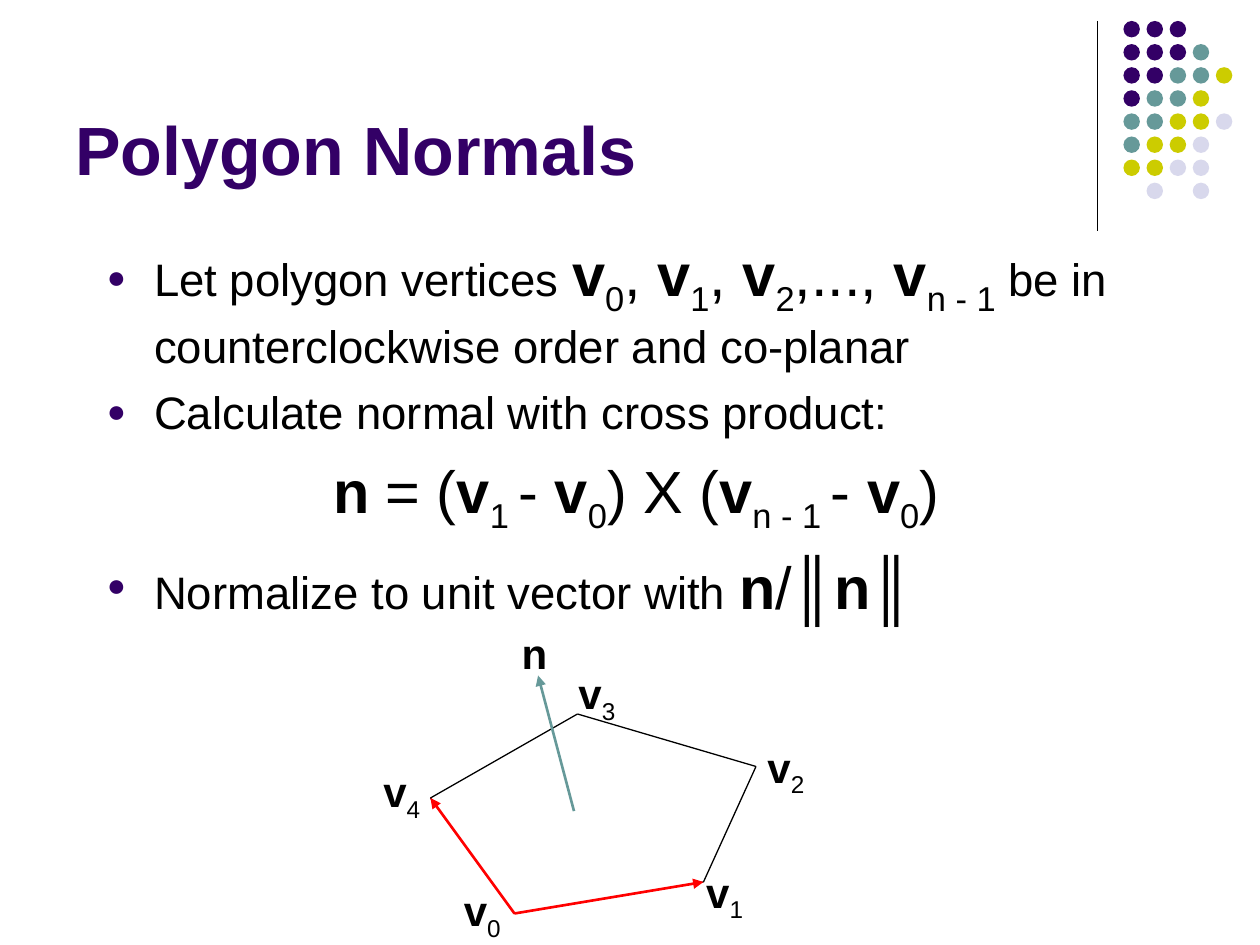
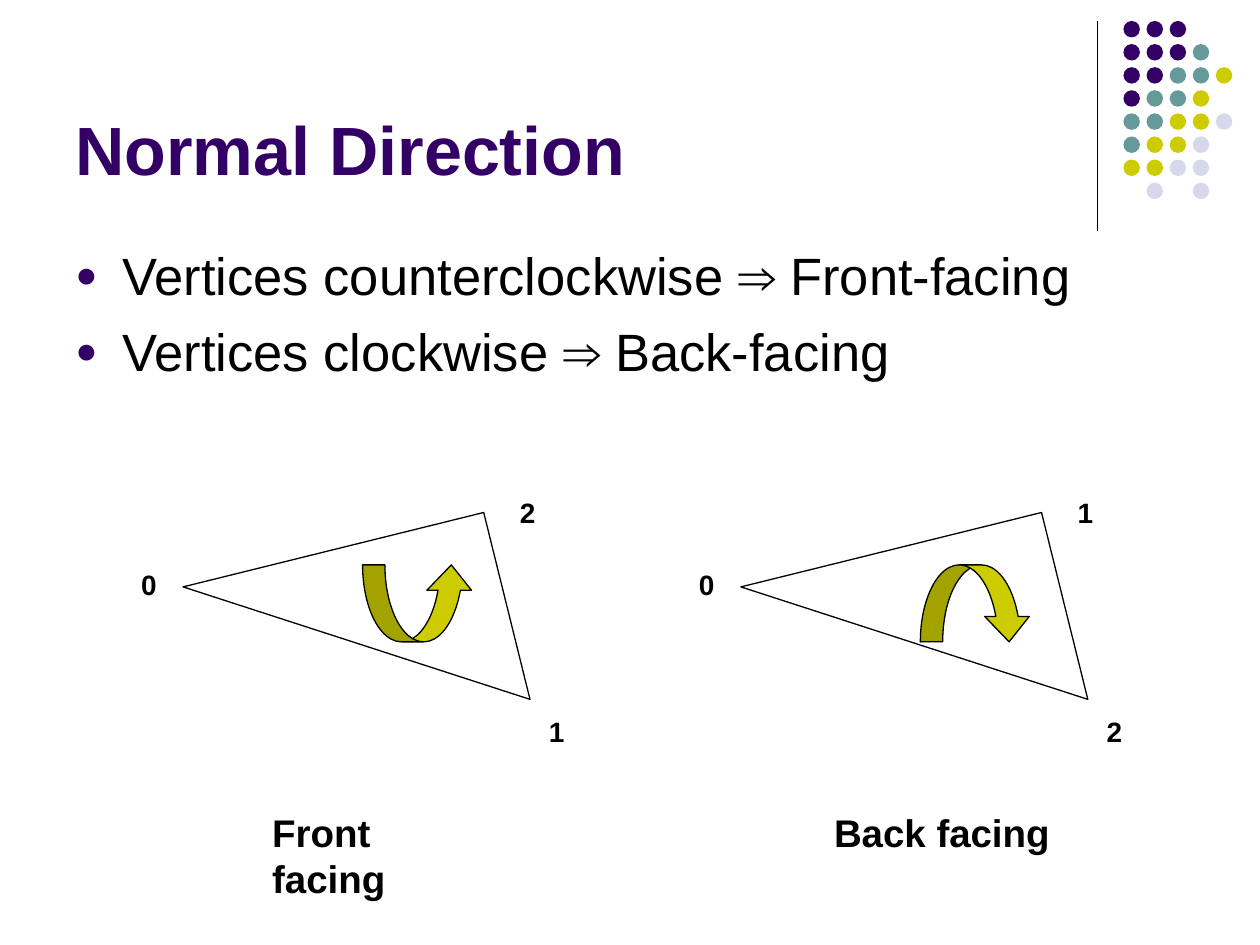
from dataclasses import dataclass
from itertools import pairwise
from typing import NamedTuple

from lxml import etree
from pptx import Presentation
from pptx.dml.color import RGBColor
from pptx.enum import shapes, text
from pptx.oxml.ns import qn
from pptx.util import Pt

INK = RGBColor(0, 0, 0)
PURPLE = RGBColor(0x33, 0x00, 0x66)
TEAL = RGBColor(0x66, 0x99, 0x99)
LIME = RGBColor(0xCC, 0xCC, 0x00)
MIST = RGBColor(0xD8, 0xD8, 0xEC)
RED = RGBColor(0xFF, 0x00, 0x00)

FACE = "Arial"
DOTS = ["PPP", "PPPT", "PPTTY", "PTTY", "TTYYL", "TYYL", "YYLL", ".L.L"]
HUES = {"P": PURPLE, "T": TEAL, "Y": LIME, "L": MIST}
PITCH = 13.2
HANG = 27


class Box(NamedTuple):
    left: float
    top: float
    width: float
    height: float

    def points(self) -> list[Pt]:
        return [Pt(side) for side in self]


class Dot(NamedTuple):
    """A point on the slide."""
    x: float
    y: float


class Bit(NamedTuple):
    """A stretch of text in one style."""
    words: str
    size: float
    bold: bool = False
    sub: bool = False


@dataclass
class Para:
    bits: list[Bit]
    before: float = 0
    bullet: bool = True


@dataclass
class Facing:
    """A triangle with numbered corners and a turning arrow."""
    shift: float
    upper: str
    lower: str
    arrow: shapes.MSO_SHAPE
    name: str
    place: Box


def vec(index: str, size: float = 34) -> list[Bit]:
    return [Bit("v", size, bold=True), Bit(index, size, sub=True)]


def add_bits(para, bits: list[Bit], color: RGBColor) -> None:
    for bit in bits:
        run = para.add_run()
        run.text = bit.words
        font = run.font
        font.name, font.size, font.bold = FACE, Pt(bit.size), bit.bold
        font.color.rgb = color
        if bit.sub:
            font._element.set("baseline", "-25000")


def add_bullet(para) -> None:
    props = para._p.get_or_add_pPr()
    props.set("marL", str(Pt(HANG)))
    props.set("indent", str(-Pt(HANG)))
    tint = etree.SubElement(props, qn("a:buClr"))
    etree.SubElement(tint, qn("a:srgbClr"), val=str(PURPLE))
    etree.SubElement(props, qn("a:buSzPct"), val="70000")
    etree.SubElement(props, qn("a:buFont"), typeface=FACE)
    etree.SubElement(props, qn("a:buChar"), char="●")


def add_label(slide, box: Box, bits: list[Bit]) -> None:
    frame = slide.shapes.add_textbox(*box.points()).text_frame
    frame.word_wrap = False
    frame.auto_size = text.MSO_AUTO_SIZE.SHAPE_TO_FIT_TEXT
    add_bits(frame.paragraphs[0], bits, INK)


def add_body(slide, box: Box, paras: list[Para]) -> None:
    frame = slide.shapes.add_textbox(*box.points()).text_frame
    frame.word_wrap = True
    for i, item in enumerate(paras):
        para = frame.add_paragraph() if i else frame.paragraphs[0]
        if item.bullet:
            add_bullet(para)
        else:
            para.alignment = text.PP_ALIGN.CENTER
            para._p.get_or_add_pPr().set("marL", str(Pt(7)))
        para.space_before = Pt(item.before)
        add_bits(para, item.bits, INK)


def add_line(slide, start: Dot, end: Dot, color: RGBColor = INK,
             width: float = 0.75, arrow: bool = False) -> None:
    line = slide.shapes.add_connector(
        shapes.MSO_CONNECTOR.STRAIGHT, *map(Pt, start), *map(Pt, end))
    line.line.color.rgb = color
    line.line.width = Pt(width)
    if arrow:
        etree.SubElement(line.line._get_or_add_ln(), qn("a:tailEnd"),
                         type="triangle")
    etree.SubElement(line._element.spPr, qn("a:effectLst"))


def add_form(slide, kind: shapes.MSO_SHAPE, box: Box,
             fill: RGBColor | None = None, edge: bool = True):
    form = slide.shapes.add_shape(kind, *box.points())
    form.shadow.inherit = False
    if fill is None:
        form.fill.background()
    else:
        form.fill.solid()
        form.fill.fore_color.rgb = fill
    if edge:
        form.line.color.rgb = INK
        form.line.width = Pt(0.75)
    else:
        form.line.fill.background()
    return form


def add_page(deck, title: str):
    """Add a slide with the dot corner, the rule and the title."""
    slide = deck.slides.add_slide(deck.slide_layouts[6])
    add_line(slide, Dot(627, 12), Dot(627, 132))
    for row, marks in enumerate(DOTS):
        for col, mark in enumerate(marks):
            if mark in HUES:
                spot = Box(642 + col * PITCH, 12 + row * PITCH, 9.4, 9.4)
                add_form(slide, shapes.MSO_SHAPE.OVAL, spot, HUES[mark], False)
    head = slide.shapes.add_textbox(*Box(36, 9.5, 594, 102).points())
    frame = head.text_frame
    frame.word_wrap = True
    frame.vertical_anchor = text.MSO_ANCHOR.BOTTOM
    add_bits(frame.paragraphs[0], [Bit(title, 39, bold=True)], PURPLE)
    return slide


def add_polygon(slide) -> None:
    nodes = [Dot(294, 522), Dot(402, 504), Dot(432, 438),
             Dot(330, 408), Dot(246, 456)]
    tags = [Dot(258, 502), Dot(396.5, 491.5), Dot(431.5, 420),
            Dot(323.5, 378), Dot(212, 434)]
    for start, end in pairwise(nodes + nodes[:1]):
        add_line(slide, start, end)
    for i, tag in enumerate(tags):
        add_label(slide, Box(*tag, 36, 40), vec(str(i), 24))
    for end in (nodes[4], nodes[1]):
        add_line(slide, nodes[0], end, RED, 1.5, arrow=True)
    add_line(slide, Dot(328, 463.5), Dot(307.5, 386), TEAL, 1.5, arrow=True)
    add_label(slide, Box(291, 355, 30, 36), [Bit("n", 24, bold=True)])


def add_facing(slide, side: Facing) -> None:
    shift = side.shift
    wedge = add_form(slide, shapes.MSO_SHAPE.RIGHT_TRIANGLE,
                     Box(115.2 + shift, 312.5, 177, 110))
    wedge.rotation = 166.1
    corners = [("0", 73.5, 320.5), (side.lower, 306.5, 404.5),
               (side.upper, 290, 279.5)]
    for mark, left, top in corners:
        add_label(slide, Box(left + shift, top, 23, 26.5),
                  [Bit(mark, 16, bold=True)])
    turn = add_form(slide, side.arrow, Box(207.2 + shift, 322.8, 63.5, 44),
                    LIME)
    for i, ratio in enumerate((0.29, 0.58, 0.33)):
        turn.adjustments[i] = ratio
    add_label(slide, side.place, [Bit(side.name, 22, bold=True)])


def build_normals(deck) -> None:
    slide = add_page(deck, "Polygon Normals")
    comma = Bit(", ", 34)
    minus = Bit("- ", 34)
    normal = Bit("n", 34, bold=True)
    add_body(slide, Box(54, 132, 612, 240), [
        Para([Bit("Let polygon vertices ", 26), *vec("0"), comma, *vec("1"),
              comma, *vec("2"), Bit(",..., ", 34), *vec("n - 1"),
              Bit(" be in counterclockwise order and co-planar", 26)]),
        Para([Bit("Calculate normal with cross product:", 26)], 6.5),
        Para([normal, Bit(" = (", 34), *vec("1 "), minus, *vec("0"),
              Bit(") X (", 34), *vec("n - 1 "), minus, *vec("0"),
              Bit(")", 34)], 8.5, bullet=False),
        Para([Bit("Normalize to unit vector with ", 26), normal,
              Bit("/║", 34), normal, Bit("║", 34)], 8.5),
    ])
    add_polygon(slide)


def build_facing(deck) -> None:
    slide = add_page(deck, "Normal Direction")
    add_body(slide, Box(36, 135.5, 648, 347), [
        Para([Bit("Vertices counterclockwise ⇒ Front-facing", 30)]),
        Para([Bit("Vertices clockwise ⇒ Back-facing", 30)], 7.5),
    ])
    kinds = shapes.MSO_SHAPE
    for side in (
        Facing(0, "2", "1", kinds.CURVED_UP_ARROW, "Front facing",
               Box(148.5, 458.5, 141, 34)),
        Facing(318.75, "1", "2", kinds.CURVED_DOWN_ARROW, "Back facing",
               Box(469.5, 458.5, 137.5, 34)),
    ):
        add_facing(slide, side)


def main() -> None:
    deck = Presentation()
    deck.slide_width, deck.slide_height = Pt(720), Pt(540)
    build_normals(deck)
    build_facing(deck)
    deck.save("out.pptx")


if __name__ == "__main__":
    main()
